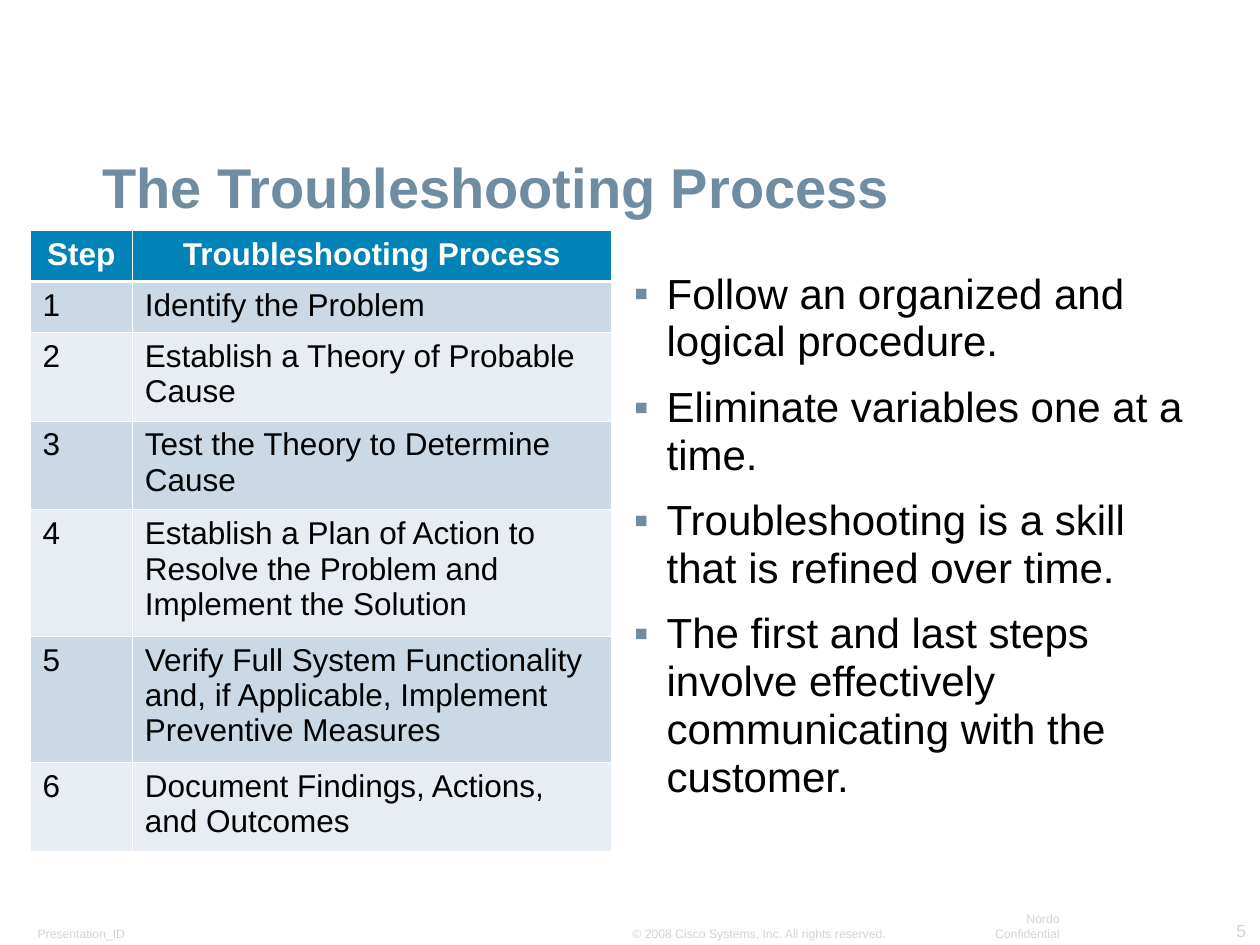
from lxml.etree import SubElement
from pptx import Presentation
from pptx.dml.color import RGBColor
from pptx.enum.text import MSO_ANCHOR, PP_ALIGN
from pptx.oxml.ns import qn
from pptx.util import Cm, Pt

HUES = {
    "title": "708CA1", "foot": "D3D3D3", "text": "000000", "white": "FFFFFF",
    "head": "0183B7", "dark": "CBD9E6", "light": "E7EDF3",
}
STEPS = [
    "Identify the Problem",
    "Establish a Theory of Probable Cause",
    "Test the Theory to Determine Cause",
    "Establish a Plan of Action to Resolve the Problem and Implement the Solution",
    "Verify Full System Functionality and, if Applicable, Implement Preventive Measures",
    "Document Findings, Actions, and Outcomes",
]
POINTS = [
    "Follow an organized and logical procedure.",
    "Eliminate variables one at a time.",
    "Troubleshooting is a skill that is refined over time.",
    "The first and last steps involve effectively communicating with the customer.",
]
FOOT = [
    ("Presentation_ID", (0.53, 18.54, 2.67, 0.53), 7, PP_ALIGN.LEFT),
    ("5", (23.29, 18.42, 2.06, 0.66), 10, PP_ALIGN.RIGHT),
    ("© 2008 Cisco Systems, Inc. All rights reserved.",
     (12.52, 18.54, 5.59, 0.53), 7, PP_ALIGN.LEFT),
    ("Nordo Confidential", (19.15, 18.54, 2.44, 0.53), 7, PP_ALIGN.RIGHT),
]


class Deck:
    """Hold the style and the current slide."""

    def __init__(self, font):
        self.font = font
        self.show = Presentation()
        self.show.slide_width, self.show.slide_height = Cm(25.4), Cm(19.05)
        self.slide = self.show.slides.add_slide(self.show.slide_layouts[6])

    def run(self, para, text, size, hue, bold=False):
        run = para.add_run()
        run.text = text
        font = run.font
        font.name, font.size, font.bold = self.font, Pt(size), bold
        font.color.rgb = RGBColor.from_string(HUES[hue])

    def box(self, area, anchor=MSO_ANCHOR.TOP, wrap=True):
        shape = self.slide.shapes.add_textbox(*map(Cm, area))
        frame = shape.text_frame
        frame.word_wrap, frame.vertical_anchor = wrap, anchor
        frame.margin_left = frame.margin_right = Cm(0.23)
        frame.margin_top = frame.margin_bottom = Cm(0.1)
        return frame

    def label(self, text, area, size, align, hue, bold=False, wrap=False, space=1.0):
        para = self.box(area, MSO_ANCHOR.BOTTOM, wrap).paragraphs[0]
        para.alignment, para.line_spacing = align, space
        self.run(para, text, size, hue, bold)

    def list(self, items, area, size):
        frame = self.box(area)
        for num, item in enumerate(items):
            para = frame.add_paragraph() if num else frame.paragraphs[0]
            props = para._p.get_or_add_pPr()
            props.set("marL", str(Cm(0.66)))
            props.set("indent", str(-Cm(0.66)))
            tint = SubElement(props, qn("a:buClr"))
            SubElement(tint, qn("a:srgbClr"), val=HUES["title"])
            SubElement(props, qn("a:buFont"), typeface=self.font)
            SubElement(props, qn("a:buChar"), char="▪")
            para.line_spacing = 0.95
            para.space_before = Pt(5 if num else 0)
            para.space_after = Pt(5)
            self.run(para, item, size, "text")

    def edge(self, cell, side, width):
        line = SubElement(cell._tc.get_or_add_tcPr(), qn(f"a:ln{side}"), w=str(Pt(width)))
        fill = SubElement(line, qn("a:solidFill"))
        SubElement(fill, qn("a:srgbClr"), val=HUES["white"])

    def cell(self, cell, text, row):
        head = row == 0
        for side in "LRTB":
            thick = (row, side) in ((0, "B"), (1, "T"))
            self.edge(cell, side, 1.47 if thick else 0.45)
        hue = "head" if head else "dark" if row % 2 else "light"
        cell.fill.solid()
        cell.fill.fore_color.rgb = RGBColor.from_string(HUES[hue])
        cell.margin_left = cell.margin_right = Cm(0.25)
        cell.margin_top = cell.margin_bottom = Cm(0.13)
        para = cell.text_frame.paragraphs[0]
        para.alignment = PP_ALIGN.CENTER if head else PP_ALIGN.LEFT
        self.run(para, text, 18, "white" if head else "text", head)

    def table(self, rows, spot, wide, high):
        size = sum(wide), sum(high)
        frame = self.slide.shapes.add_table(len(rows), len(wide), *map(Cm, spot + size))
        grid = frame.table
        for col, width in zip(grid.columns, wide):
            col.width = Cm(width)
        for row, texts in enumerate(rows):
            grid.rows[row].height = Cm(high[row])
            for col, text in enumerate(texts):
                self.cell(grid.cell(row, col), text, row)


def main():
    deck = Deck("Arial")
    for text, area, size, align in FOOT:
        deck.label(text, area, size, align, "foot")
    deck.label("The Troubleshooting Process", (1.83, 2.21, 22.63, 2.34), 32,
               PP_ALIGN.LEFT, "title", bold=True, wrap=True, space=0.9)
    deck.list(POINTS, (12.55, 5.36, 11.86, 11.89), 24)
    rows = [("Step", "Troubleshooting Process")]
    rows += [(str(num), step) for num, step in enumerate(STEPS, 1)]
    deck.table(rows, (0.61, 4.65), (2.06, 9.65),
               (1.02, 1.02, 1.79, 1.79, 2.54, 2.54, 1.79))
    deck.show.save("out.pptx")


if __name__ == "__main__":
    main()
